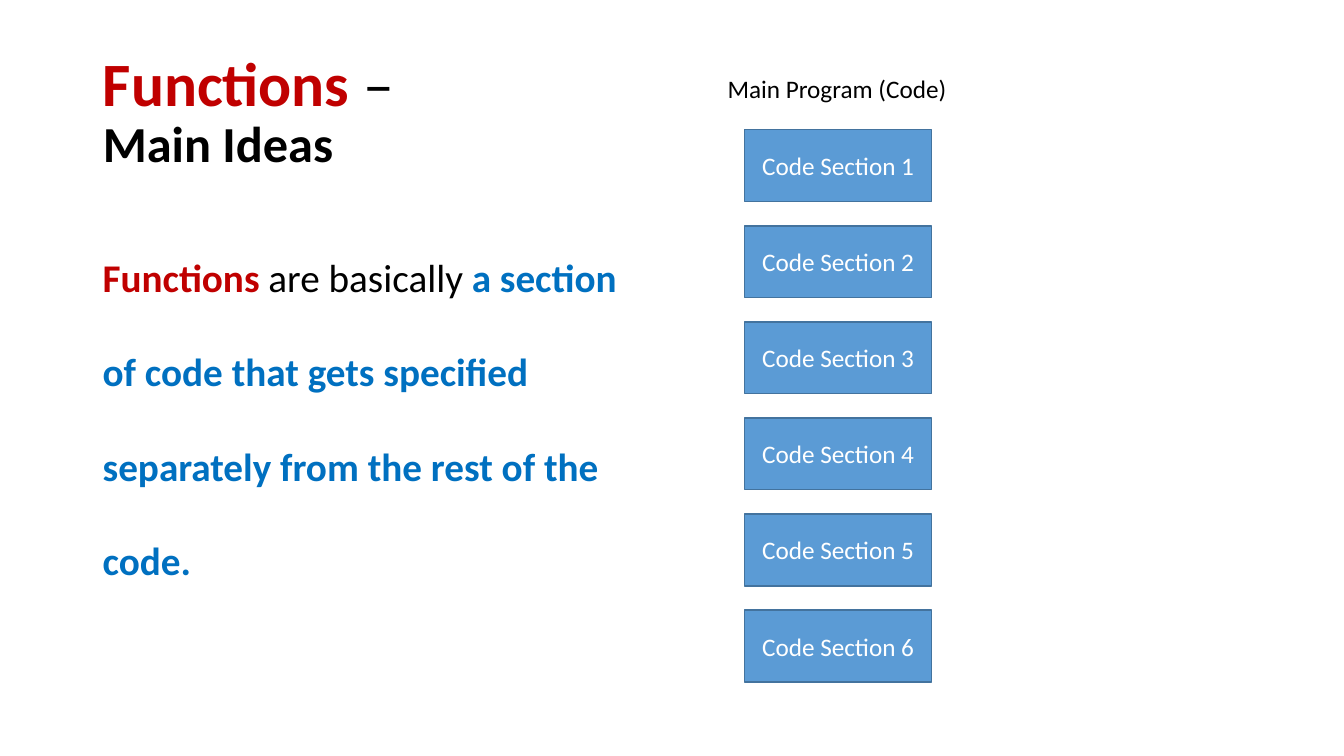
from dataclasses import dataclass

import pptx
import pptx.dml.color
import pptx.enum.shapes
import pptx.enum.text
import pptx.shapes.autoshape
import pptx.slide
import pptx.text.text
import pptx.util

Pt = pptx.util.Pt
Color = pptx.dml.color.RGBColor
Align = pptx.enum.text.PP_ALIGN
Anchor = pptx.enum.text.MSO_ANCHOR


@dataclass(frozen=True)
class Theme:
    font: str = "Calibri"
    red: str = "C00000"
    blue: str = "0070C0"
    black: str = "000000"
    white: str = "FFFFFF"
    box_fill: str = "5B9BD5"
    box_line: str = "43739E"
    title_size: float = 44
    subtitle_size: float = 36
    body_size: float = 28
    label_size: float = 18


@dataclass(frozen=True)
class Area:
    left: float
    top: float
    width: float
    height: float

    def lengths(self) -> tuple[pptx.util.Length, ...]:
        return Pt(self.left), Pt(self.top), Pt(self.width), Pt(self.height)


@dataclass(frozen=True)
class Span:
    text: str
    color: str
    size: float
    bold: bool = False


THEME = Theme()

TITLE_AREA = Area(66.24, 28.8, 446.4, 104.4)
BODY_AREA = Area(66.24, 144, 390.24, 342.72)
CAPTION_AREA = Area(512.64, 48.96, 172.8, 28.8)
FIRST_BOX = Area(532, 92.7, 133.4, 51.4)
BOX_PITCH = 68.6
BOX_COUNT = 6

TITLE_LINES = (
    (
        Span("Functions", THEME.red, THEME.title_size, True),
        Span(" – ", THEME.black, THEME.title_size),
    ),
    (Span("Main Ideas", THEME.black, THEME.subtitle_size, True),),
)
BODY_LINES = (
    (
        Span("Functions ", THEME.red, THEME.body_size, True),
        Span("are basically ", THEME.black, THEME.body_size),
        Span(
            "a section of code that gets specified separately from the rest of the code.",
            THEME.blue, THEME.body_size, True,
        ),
    ),
)


def style_font(font: pptx.text.text.Font, color: str, size: float, bold: bool = False) -> None:
    font.name = THEME.font
    font.size = Pt(size)
    font.bold = bold
    font.color.rgb = Color.from_string(color)


def write_lines(para, lines: tuple[tuple[Span, ...], ...]) -> None:
    """Write lines of spans into one paragraph, with line breaks between them."""
    para.alignment = Align.LEFT
    for index, line in enumerate(lines):
        if index:
            para.add_line_break()
        for span in line:
            run = para.add_run()
            run.text = span.text
            style_font(run.font, span.color, span.size, span.bold)


def add_title(page: pptx.slide.Slide) -> None:
    title = page.shapes.title
    title.left, title.top, title.width, title.height = TITLE_AREA.lengths()
    frame = title.text_frame
    frame.auto_size = pptx.enum.text.MSO_AUTO_SIZE.NONE
    frame.vertical_anchor = Anchor.MIDDLE
    para = frame.paragraphs[0]
    para.line_spacing = 0.9
    write_lines(para, TITLE_LINES)


def add_body(page: pptx.slide.Slide) -> None:
    frame = page.shapes.add_textbox(*BODY_AREA.lengths()).text_frame
    frame.word_wrap = True
    para = frame.paragraphs[0]
    para.line_spacing = 2.0
    para.space_before = Pt(10)
    write_lines(para, BODY_LINES)


def add_caption(page: pptx.slide.Slide) -> None:
    frame = page.shapes.add_textbox(*CAPTION_AREA.lengths()).text_frame
    frame.word_wrap = False
    frame.auto_size = pptx.enum.text.MSO_AUTO_SIZE.SHAPE_TO_FIT_TEXT
    para = frame.paragraphs[0]
    para.text = "Main Program (Code)"
    style_font(para.font, THEME.black, THEME.label_size)


def add_code_box(page: pptx.slide.Slide, area: Area, label: str) -> None:
    box = page.shapes.add_shape(
        pptx.enum.shapes.MSO_SHAPE.RECTANGLE, *area.lengths()
    )
    box.name = label
    box.shadow.inherit = False
    box.fill.solid()
    box.fill.fore_color.rgb = Color.from_string(THEME.box_fill)
    box.line.color.rgb = Color.from_string(THEME.box_line)
    box.line.width = Pt(1)
    box.text_frame.vertical_anchor = Anchor.MIDDLE
    para = box.text_frame.paragraphs[0]
    para.text = label
    para.alignment = Align.CENTER
    style_font(para.font, THEME.white, THEME.label_size)


def main() -> None:
    deck = pptx.Presentation()
    deck.slide_width, deck.slide_height = Pt(960), Pt(540)
    page = deck.slides.add_slide(deck.slide_layouts.get_by_name("Title Only"))
    add_title(page)
    add_body(page)
    for index in range(BOX_COUNT):
        area = Area(
            FIRST_BOX.left, FIRST_BOX.top + index * BOX_PITCH,
            FIRST_BOX.width, FIRST_BOX.height,
        )
        add_code_box(page, area, f"Code Section {index + 1}")
    add_caption(page)
    deck.save("out.pptx")


if __name__ == "__main__":
    main()
